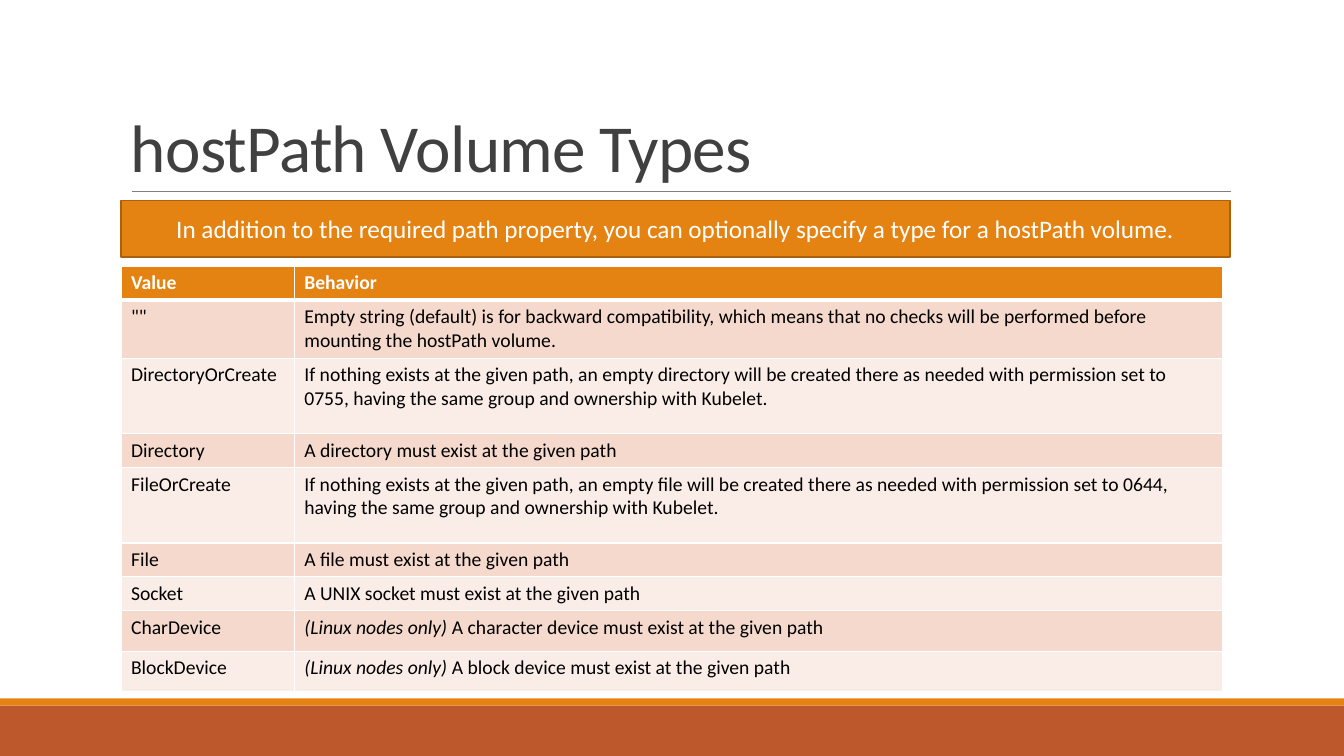
"""Builds the slide on hostPath volume types, with its table of values."""
from lxml.etree import SubElement
from pptx import Presentation
from pptx.dml.color import RGBColor
from pptx.enum.shapes import MSO_CONNECTOR as Wire, MSO_SHAPE as Shape
from pptx.enum.text import MSO_ANCHOR as Anchor, PP_ALIGN as Align
from pptx.oxml.ns import qn
from pptx.util import Pt

ORANGE = RGBColor(0xE4, 0x83, 0x12)
RUST = RGBColor(0xBD, 0x58, 0x2C)
BROWN = RGBColor(0xA9, 0x61, 0x0D)
GRAY = RGBColor(0x80, 0x80, 0x80)
DARK = RGBColor(0x40, 0x40, 0x40)
PINK = RGBColor(0xF5, 0xD9, 0xCC)
PALE = RGBColor(0xFA, 0xED, 0xE7)
WHITE = RGBColor(0xFF, 0xFF, 0xFF)
BLACK = RGBColor(0, 0, 0)

LEFT, WIDE = 86.4, 792
NODES = "(Linux nodes only)"
ROWS = [
    (22.3, "Value", "", "Behavior"),
    (41.8, '""', "", "Empty string (default) is for backward compatibility, which means "
     "that no checks will be performed before mounting the hostPath volume."),
    (54, "DirectoryOrCreate", "", "If nothing exists at the given path, an empty directory "
     "will be created there as needed with permission set to 0755, having the same group "
     "and ownership with Kubelet."),
    (22.3, "Directory", "", "A directory must exist at the given path"),
    (54, "FileOrCreate", "", "If nothing exists at the given path, an empty file will be "
     "created there as needed with permission set to 0644, having the same group and "
     "ownership with Kubelet."),
    (22.3, "File", "", "A file must exist at the given path"),
    (22.3, "Socket", "", "A UNIX socket must exist at the given path"),
    (29.2, "CharDevice", NODES, " A character device must exist at the given path"),
    (29.2, "BlockDevice", NODES, " A block device must exist at the given path"),
]


def write(para, text, size, color, **more):
    run = para.add_run()
    run.text = text
    run.font.color.rgb = color
    for key, value in dict(name="Calibri", size=Pt(size), **more).items():
        setattr(run.font, key, value)
    return run


def block(left, top, width, height, color):
    shape = slide.shapes.add_shape(Shape.RECTANGLE, Pt(left), Pt(top), Pt(width), Pt(height))
    shape.shadow.inherit = False
    shape.fill.solid()
    shape.fill.fore_color.rgb = color
    shape.line.fill.background()
    return shape


deck = Presentation()
deck.slide_width, deck.slide_height = Pt(960), Pt(540)
slide = deck.slides.add_slide(deck.slide_layouts[6])

block(0, 504, 960, 36, RUST)
block(0, 498.9, 960, 5.1, ORANGE)

rule = slide.shapes.add_connector(Wire.STRAIGHT, Pt(94.3), Pt(136.8), Pt(879.1), Pt(136.8))
rule.line.color.rgb = GRAY
rule.line.width = Pt(0.5)
SubElement(rule._element.spPr, qn("a:effectLst"))

title = slide.shapes.add_textbox(Pt(LEFT), Pt(22.4), Pt(WIDE), Pt(114.4)).text_frame
title.word_wrap = True
title.vertical_anchor = Anchor.BOTTOM
head = title.paragraphs[0]
head.line_spacing = 0.85
run = write(head, "hostPath Volume Types", 48, DARK)
run._r.get_or_add_rPr().set("spc", "-50")

height = sum(row[0] for row in ROWS)
grid = slide.shapes.add_table(len(ROWS), 2, Pt(LEFT), Pt(190), Pt(787), Pt(height)).table
grid.columns[0].width, grid.columns[1].width = Pt(123.8), Pt(663.2)
for r, (tall, value, note, text) in enumerate(ROWS):
    grid.rows[r].height = Pt(tall)
    top = r == 0
    ink = WHITE if top else BLACK
    for c, parts in enumerate([[("", False), (value, False)], [(note, True), (text, False)]]):
        cell = grid.cell(r, c)
        cell.vertical_anchor = Anchor.BOTTOM if top else Anchor.TOP
        for side in "LRTB":
            thick = (r, side) in [(0, "B"), (1, "T")]
            edge = SubElement(cell._tc.get_or_add_tcPr(), qn(f"a:ln{side}"),
                              w=str(Pt(3 if thick else 1)))
            fill = SubElement(edge, qn("a:solidFill"))
            SubElement(fill, qn("a:srgbClr"), val=str(WHITE))
        cell.fill.solid()
        cell.fill.fore_color.rgb = ORANGE if top else PINK if r % 2 else PALE
        for words, slant in parts:
            if words:
                write(cell.text_frame.paragraphs[0], words, 14, ink, bold=top, italic=slant)

banner = block(LEFT, 143.3, WIDE, 40.3, ORANGE)
banner.line.color.rgb = BROWN
banner.line.width = Pt(1.25)
frame = banner.text_frame
frame.word_wrap = True
frame.vertical_anchor = Anchor.MIDDLE
frame.paragraphs[0].alignment = Align.CENTER
write(frame.paragraphs[0], "In addition to the required path property, you can optionally "
      "specify a type for a hostPath volume.", 18, WHITE)

deck.save("out.pptx")
